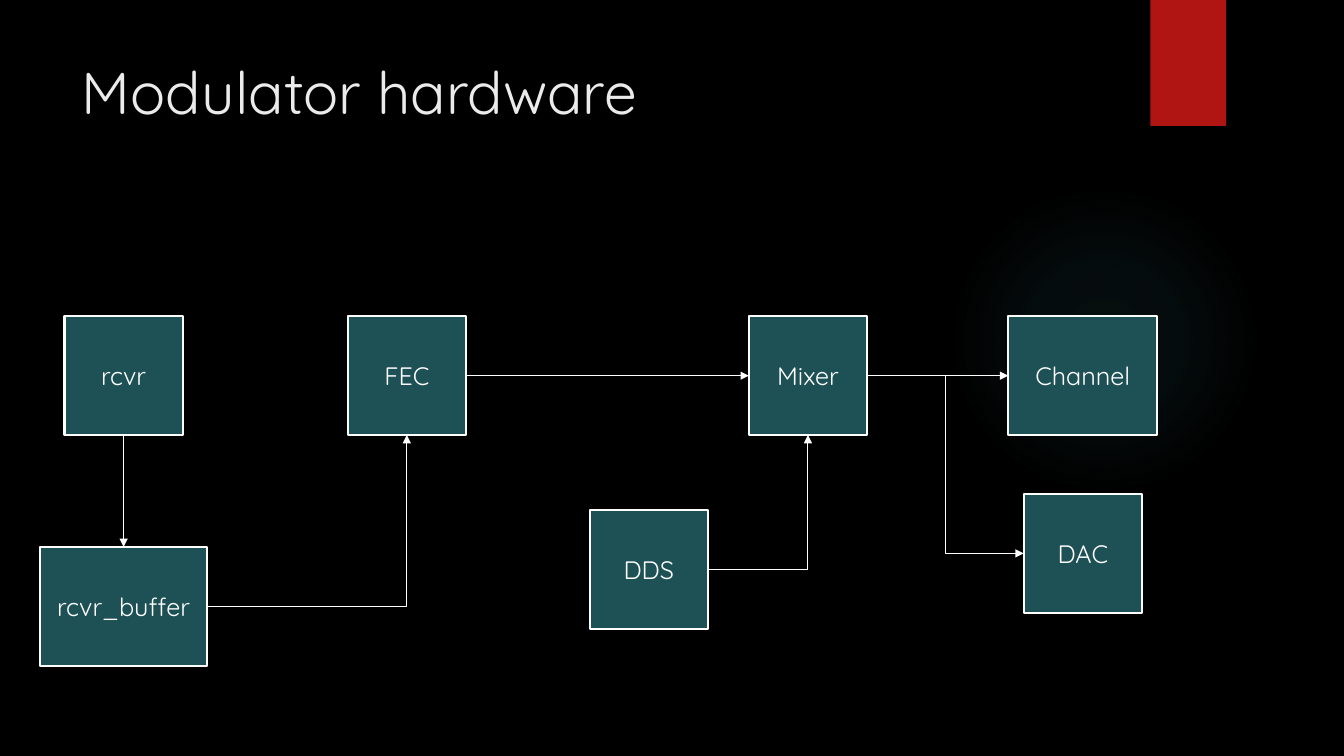
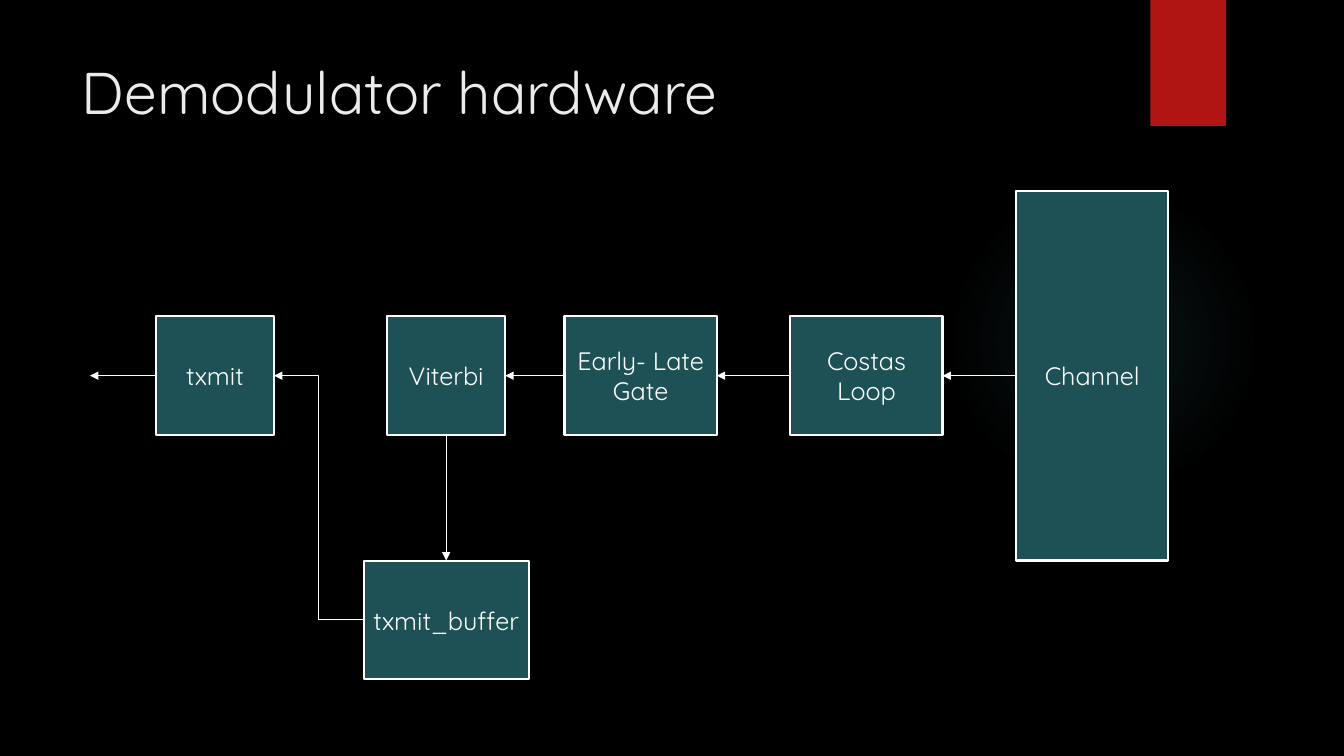
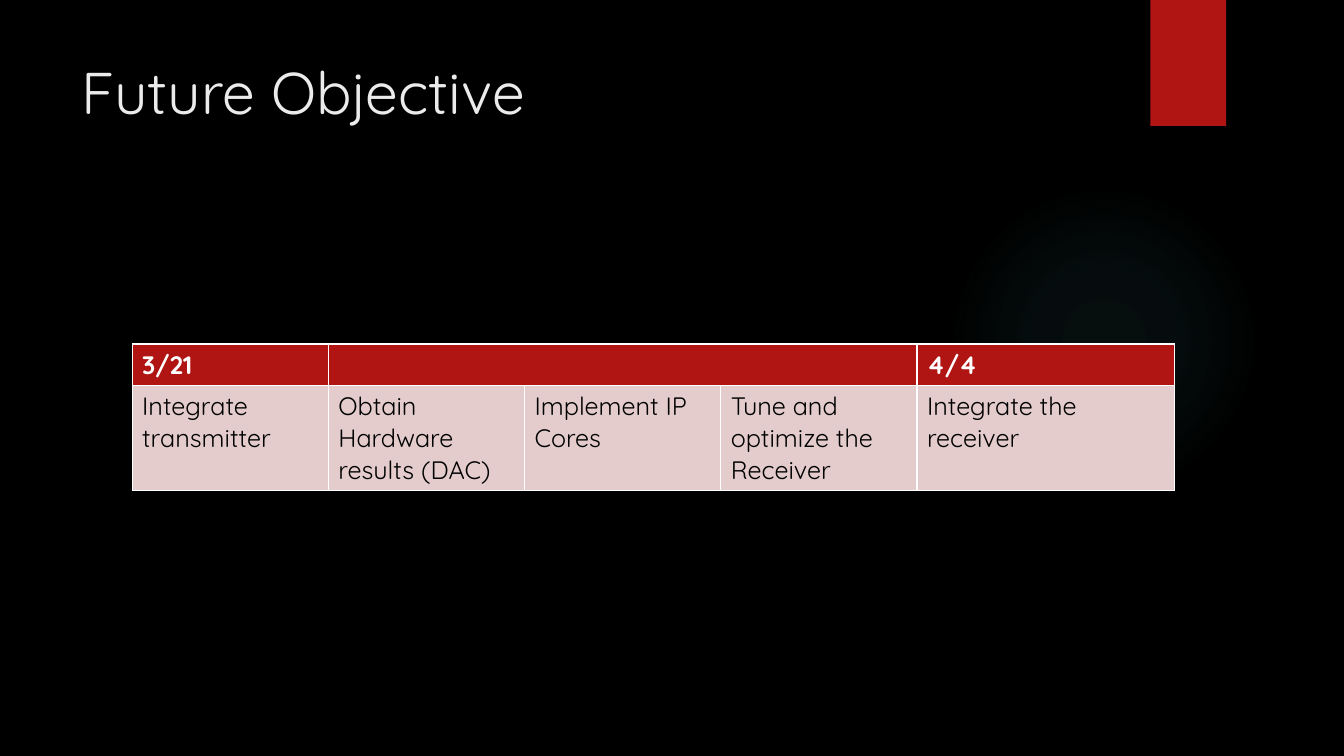
from lxml import etree
from pptx import Presentation
from pptx import util as u
from pptx.dml.color import RGBColor
from pptx.enum import shapes, text
from pptx.oxml import parse_xml
from pptx.oxml.ns import nsdecls, qn

BLACK = RGBColor(0x00, 0x00, 0x00)
WHITE = RGBColor(0xFF, 0xFF, 0xFF)
TITLE_GREY = RGBColor(0xEB, 0xEB, 0xEB)
RED = RGBColor(0xB0, 0x15, 0x13)
PINK = RGBColor(0xE4, 0xCC, 0xCC)
TEAL = RGBColor(0x1E, 0x51, 0x55)
GLOW = RGBColor(0x50, 0xB9, 0xC1)
FONT = "Quicksand"

TOP, LEFT, BOTTOM, RIGHT = range(4)
STRAIGHT, CORNER, STEP = "line", "bentConnector2", "bentConnector3"

presentation = Presentation()
presentation.slide_width = u.Inches(13.33)
presentation.slide_height = u.Inches(7.5)
COLUMN = presentation.slide_width / 100   # the grid is 100 columns by 100 rows
ROW = presentation.slide_height / 100


def area(left, top, width, height):
    """Turn columns and rows into slide lengths."""
    return [int(left * COLUMN), int(top * ROW), int(width * COLUMN), int(height * ROW)]


def style(paragraph, size, color, alignment=text.PP_ALIGN.LEFT, bold=False):
    paragraph.alignment = alignment
    paragraph.font.name = FONT
    paragraph.font.size = u.Pt(size)
    paragraph.font.bold = bold
    paragraph.font.color.rgb = color


# Shared layout: background, title place
layout = presentation.slide_layouts.get_by_name("Title Only")
layout.background.fill.solid()
layout.background.fill.fore_color.rgb = BLACK
title = layout.placeholders[0]
title.left, title.top, title.width, title.height = area(5.33, 6.67, 77.2, 20.4)
title.text_frame.vertical_anchor = text.MSO_ANCHOR.TOP

# Slides with their titles
slides = []
for heading in ("Modulator hardware", "Demodulator hardware", "Future Objective"):
    slide = presentation.slides.add_slide(layout)
    slide.shapes.title.text_frame.text = heading
    style(slide.shapes.title.text_frame.paragraphs[0], 42, TITLE_GREY)
    slides.append(slide)

# Shared layout: glow and red band, moved from the first slide to the layout
glow = slides[0].shapes.add_shape(shapes.MSO_SHAPE.OVAL, *area(70.6, 24.4, 23.1, 41.07))
band = slides[0].shapes.add_shape(shapes.MSO_SHAPE.RECTANGLE, *area(85.6, 0, 5.63, 16.67))
band.fill.solid()
band.fill.fore_color.rgb = RED
stops = "".join(
    f'<a:gs pos="{place * 1000}"><a:srgbClr val="{GLOW}">'
    f'<a:alpha val="{opacity * 1000}"/></a:srgbClr></a:gs>'
    for place, opacity in ((0, 7), (36, 6), (69, 0)))
glow.fill.background()
properties = glow.element.spPr
properties.replace(properties.find(qn("a:noFill")), parse_xml(
    f'<a:gradFill {nsdecls("a")}><a:gsLst>{stops}</a:gsLst><a:path path="circle">'
    '<a:fillToRect l="50000" t="50000" r="50000" b="50000"/></a:path></a:gradFill>'))
for shape in (glow, band):
    shape.line.fill.background()
    shape.shadow.inherit = False
    layout.shapes.element.append(shape.element)

# Block diagrams: boxes are name, centre column, centre row, width, height
MAIN_ROW, BOX_WIDTH, BOX_HEIGHT = 49.7, 8.8, 15.7
OUTPUT_COLUMN = 6.7   # where an arrow without a target ends
modulator_boxes = [
    ("rcvr", 9.2, MAIN_ROW, BOX_WIDTH, BOX_HEIGHT),
    ("rcvr_buffer", 9.2, 80.2, 12.4, BOX_HEIGHT),
    ("FEC", 30.27, MAIN_ROW, BOX_WIDTH, BOX_HEIGHT),
    ("DDS", 48.27, 75.3, BOX_WIDTH, BOX_HEIGHT),
    ("Mixer", 60.12, MAIN_ROW, BOX_WIDTH, BOX_HEIGHT),
    ("Channel", 80.57, MAIN_ROW, 11.1, BOX_HEIGHT),
    ("DAC", 80.57, 73.2, BOX_WIDTH, BOX_HEIGHT),
]
modulator_arrows = [
    (STRAIGHT, "rcvr", BOTTOM, "rcvr_buffer", TOP),
    (CORNER, "rcvr_buffer", RIGHT, "FEC", BOTTOM),
    (STRAIGHT, "FEC", RIGHT, "Mixer", LEFT),
    (CORNER, "DDS", RIGHT, "Mixer", BOTTOM),
    (STRAIGHT, "Mixer", RIGHT, "Channel", LEFT),
    (STEP, "Mixer", RIGHT, "DAC", LEFT),
]
demodulator_boxes = [
    ("txmit", 16, MAIN_ROW, BOX_WIDTH, BOX_HEIGHT),
    ("Viterbi", 33.2, MAIN_ROW, BOX_WIDTH, BOX_HEIGHT),
    ("txmit_buffer", 33.2, 82, 12.3, BOX_HEIGHT),
    ("Early- Late Gate", 47.67, MAIN_ROW, 11.33, BOX_HEIGHT),
    ("Costas Loop", 64.47, MAIN_ROW, 11.33, BOX_HEIGHT),
    ("Channel", 81.27, MAIN_ROW, 11.33, 48.9),
]
demodulator_arrows = [
    (STRAIGHT, "Channel", LEFT, "Costas Loop", RIGHT),
    (STRAIGHT, "Costas Loop", LEFT, "Early- Late Gate", RIGHT),
    (STRAIGHT, "Early- Late Gate", LEFT, "Viterbi", RIGHT),
    (STRAIGHT, "Viterbi", BOTTOM, "txmit_buffer", TOP),
    (STEP, "txmit_buffer", LEFT, "txmit", RIGHT),
    (STRAIGHT, "txmit", LEFT, None, None),
]
diagrams = [(modulator_boxes, modulator_arrows), (demodulator_boxes, demodulator_arrows)]
for slide, (boxes, arrows) in zip(slides, diagrams):
    placed = {}
    for name, column, row, width, height in boxes:
        box = slide.shapes.add_shape(
            shapes.MSO_SHAPE.RECTANGLE,
            *area(column - width / 2, row - height / 2, width, height))
        box.shadow.inherit = False
        box.fill.solid()
        box.fill.fore_color.rgb = TEAL
        box.line.color.rgb = WHITE
        box.line.width = u.Pt(1.5)
        frame = box.text_frame
        frame.text = name
        frame.word_wrap = True
        frame.margin_left = frame.margin_right = u.Inches(0.08)
        frame.vertical_anchor = text.MSO_ANCHOR.MIDDLE
        style(frame.paragraphs[0], 18, WHITE, text.PP_ALIGN.CENTER)
        placed[name] = box

    for preset, source, source_side, target, target_side in arrows:
        kind = shapes.MSO_CONNECTOR.STRAIGHT if preset == STRAIGHT else shapes.MSO_CONNECTOR.ELBOW
        output = area(OUTPUT_COLUMN, MAIN_ROW, 0, 0)[:2]
        arrow = slide.shapes.add_connector(kind, *output, *output)
        arrow.begin_connect(placed[source], source_side)
        if target:
            arrow.end_connect(placed[target], target_side)
        arrow.line.color.rgb = WHITE
        arrow.line.width = u.Pt(0.75)
        properties = arrow.element.spPr
        properties.find(qn("a:prstGeom")).set("prst", preset)
        etree.SubElement(properties.find(qn("a:ln")), qn("a:tailEnd"), type="triangle")
        etree.SubElement(properties, qn("a:effectLst"))

# Timetable: the header's three middle cells are one
timetable = [
    ["3/21", "", "", "", "4/4"],
    ["Integrate transmitter", "Obtain Hardware results (DAC)", "Implement IP Cores",
     "Tune and optimize the Receiver", "Integrate the receiver"],
]
widths = [14.6] * 4 + [19.15]
heights = [5.47, 13.33]
table = slides[2].shapes.add_table(
    2, 5, *area(9.83, 45.5, sum(widths), sum(heights))).table
for column, width in zip(table.columns, widths):
    column.width = int(width * COLUMN)
for row, height in zip(table.rows, heights):
    row.height = int(height * ROW)
table.cell(0, 1).merge(table.cell(0, 3))
for row, (words, fill, color) in enumerate(zip(timetable, (RED, PINK), (WHITE, BLACK))):
    for column, word in enumerate(words):
        cell = table.cell(row, column)
        cell.fill.solid()
        cell.fill.fore_color.rgb = fill
        if word:
            cell.text_frame.text = word
        style(cell.text_frame.paragraphs[0], 18, color, bold=row == 0)

presentation.save("out.pptx")
